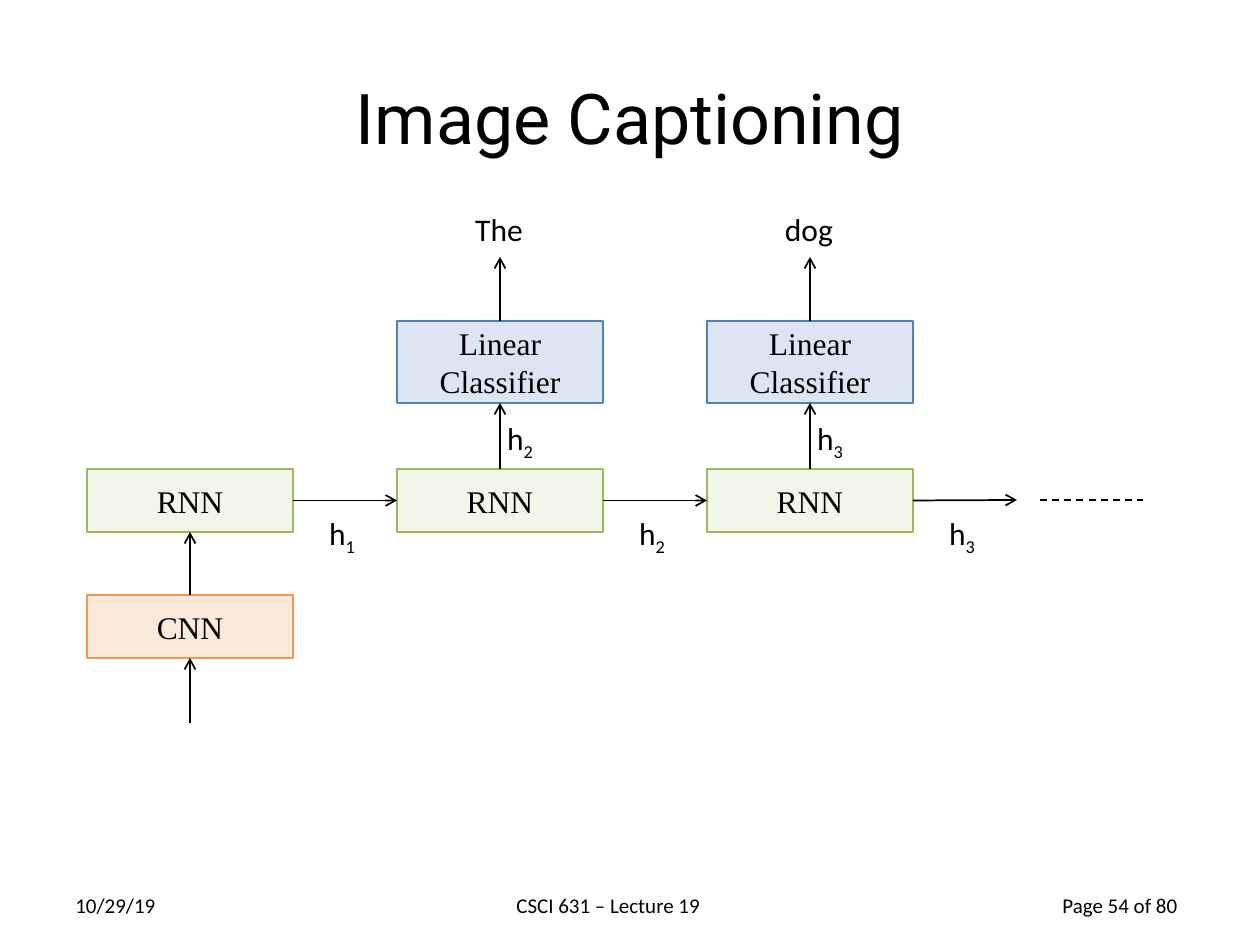
"""Build the Image Captioning slide: a CNN feeding an unrolled RNN with word classifiers."""
from lxml import etree
from pptx import Presentation
from pptx.dml.color import RGBColor
from pptx.enum.dml import MSO_LINE
from pptx.enum.shapes import MSO_CONNECTOR, MSO_SHAPE
from pptx.enum.text import MSO_ANCHOR, PP_ALIGN
from pptx.oxml.ns import qn
from pptx.util import Pt

RECTANGLE = MSO_SHAPE.RECTANGLE
STRAIGHT = MSO_CONNECTOR.STRAIGHT
DASH = MSO_LINE.DASH
MIDDLE = MSO_ANCHOR.MIDDLE
LEFT, CENTER = PP_ALIGN.LEFT, PP_ALIGN.CENTER
TOP_SIDE, LEFT_SIDE, BOTTOM_SIDE, RIGHT_SIDE = range(4)

THEME = {
    "ink": "000000",
    "title": ("Roboto", 40),
    "node": ("Times New Roman", 18),
    "label": ("Calibri", 18),
    "footer": ("Calibri", 12),
    "RNN": ("D7E4BD", "9BBB59"),
    "CNN": ("FAC090", "F79646"),
    "Linear Classifier": ("95B3D7", "4F81BD"),
    "opacity": "33000",
    "subscript": "-25000",
    "outline": 0.75,
    "arrow": 1,
}

TITLE = ("Image Captioning", 63, 38, 1134, 158)
FOOTERS = [
    ("10/29/19", 63, 115),
    ("CSCI 631 – Lecture 19", 504, 231),
    ("Page 54 of 80", 1050, 147),
]
WORDS = [None, "The", "dog"]

EMU_PER_PX = 914400 / 126
FIRST_LEFT, COLUMN_STEP, NODE_WIDTH = 87, 310, 206
RNN_TOP, CNN_TOP, NODE_HEIGHT = 469, 595, 63
CLASSIFIER_TOP, CLASSIFIER_HEIGHT = 321, 82
ARROW_LENGTH = COLUMN_STEP - NODE_WIDTH
STATE_Y = 500
WORD_ARROW_END, INPUT_START = 257, 723
CONTINUATION = (1040, 1143)


def px(length):
    return round(length * EMU_PER_PX)


def color(name):
    return RGBColor.from_string(name)


def write(frame, text, style, align, subscript=""):
    paragraph = frame.paragraphs[0]
    paragraph.alignment = align
    paragraph.add_run().text = text
    if subscript:
        index = paragraph.add_run()
        index.text = subscript
        index._r.get_or_add_rPr().set("baseline", THEME["subscript"])
    family, size = THEME[style]
    paragraph.font.name = family
    paragraph.font.size = Pt(size)
    paragraph.font.color.rgb = color(THEME["ink"])


def add_text(slide, text, left, top, width, height, style, align=CENTER, subscript=""):
    frame = slide.shapes.add_textbox(px(left), px(top), px(width), px(height)).text_frame
    frame.word_wrap = True
    write(frame, text, style, align, subscript)
    return frame


def add_node(slide, name, left, top, height=NODE_HEIGHT):
    node = slide.shapes.add_shape(RECTANGLE, px(left), px(top), px(NODE_WIDTH), px(height))
    node.shadow.inherit = False
    fill, outline = THEME[name]
    node.fill.solid()
    node.fill.fore_color.rgb = color(fill)
    fill_color = node.fill._xPr.find(qn("a:solidFill"))[0]
    etree.SubElement(fill_color, qn("a:alpha")).set("val", THEME["opacity"])
    node.line.color.rgb = color(outline)
    node.line.width = Pt(THEME["outline"])
    node.text_frame.word_wrap = True
    node.text_frame.vertical_anchor = MIDDLE
    write(node.text_frame, name, "node", CENTER)
    return node


def add_line(slide, start, end, source=None, target=None, dashed=False):
    line = slide.shapes.add_connector(STRAIGHT, *map(px, start + end))
    line.line.color.rgb = color(THEME["ink"])
    line.line.width = Pt(THEME["arrow"])
    if dashed:
        line.line.dash_style = DASH
    else:
        etree.SubElement(line.line._get_or_add_ln(), qn("a:tailEnd")).set("type", "arrow")
    etree.SubElement(line._element.spPr, qn("a:effectLst"))
    if source:
        line.begin_connect(*source)
    if target:
        line.end_connect(*target)


def add_encoder(slide, first_rnn):
    center = FIRST_LEFT + NODE_WIDTH // 2
    cnn = add_node(slide, "CNN", FIRST_LEFT, CNN_TOP)
    add_line(slide, (center, CNN_TOP), (center, RNN_TOP + NODE_HEIGHT),
             (cnn, TOP_SIDE), (first_rnn, BOTTOM_SIDE))
    add_line(slide, (center, INPUT_START), (center, CNN_TOP + NODE_HEIGHT),
             target=(cnn, BOTTOM_SIDE))


def add_word_output(slide, rnn, left, word, step):
    center = left + NODE_WIDTH // 2
    classifier = add_node(slide, "Linear Classifier", left, CLASSIFIER_TOP, CLASSIFIER_HEIGHT)
    add_line(slide, (center, RNN_TOP), (center, CLASSIFIER_TOP + CLASSIFIER_HEIGHT),
             (rnn, TOP_SIDE), (classifier, BOTTOM_SIDE))
    add_line(slide, (center, CLASSIFIER_TOP), (center, WORD_ARROW_END), (classifier, TOP_SIDE))
    add_text(slide, "h", center - 10, 413, 60, 50, "label", subscript=step)
    add_text(slide, word, center - 45, 204, 88, 50, "label")


def main():
    deck = Presentation()
    deck.slide_width, deck.slide_height = px(1260), px(945)
    slide = deck.slides.add_slide(deck.slide_layouts[6])

    add_text(slide, *TITLE, "title").vertical_anchor = MIDDLE
    for text, left, width in FOOTERS:
        add_text(slide, text, left, 886, width, 38, "footer", LEFT)

    lefts = [FIRST_LEFT + COLUMN_STEP * column for column in range(len(WORDS))]
    rnns = [add_node(slide, "RNN", left, RNN_TOP) for left in lefts]
    add_encoder(slide, rnns[0])
    for column, (rnn, left, word) in enumerate(zip(rnns, lefts, WORDS)):
        step = str(column + 1)
        right = left + NODE_WIDTH
        following = (rnns[column + 1], LEFT_SIDE) if column + 1 < len(rnns) else None
        add_line(slide, (right, STATE_Y), (right + ARROW_LENGTH, STATE_Y),
                 (rnn, RIGHT_SIDE), following)
        add_text(slide, "h", right + 19, 508, 60, 50, "label", subscript=step)
        if word:
            add_word_output(slide, rnn, left, word, step)
    dash_start, dash_end = CONTINUATION
    add_line(slide, (dash_start, STATE_Y), (dash_end, STATE_Y), dashed=True)

    deck.save("out.pptx")


if __name__ == "__main__":
    main()
